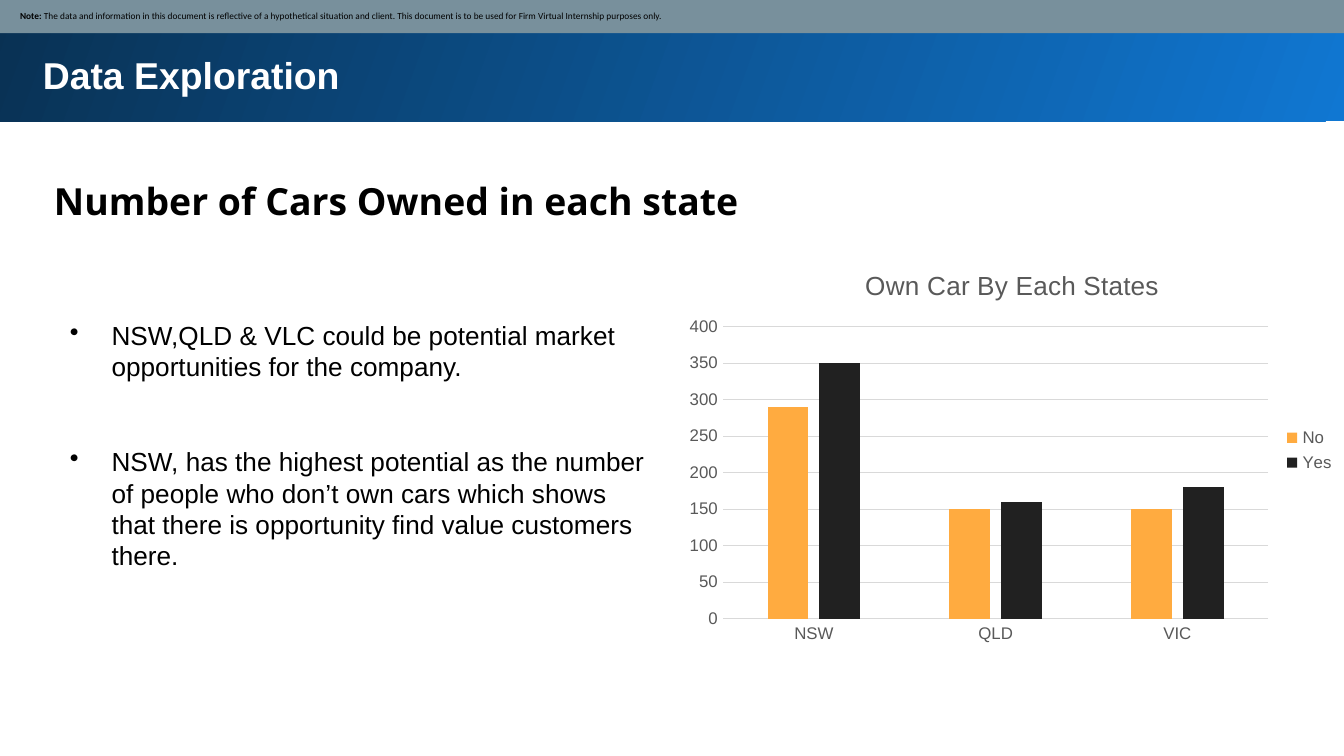
import pptx
import pptx.chart.data
import pptx.dml.color
import pptx.enum.chart
import pptx.enum.shapes
import pptx.enum.text
import pptx.oxml.ns
import pptx.util
from lxml import etree

Cm = pptx.util.Cm
Pt = pptx.util.Pt
RGBColor = pptx.dml.color.RGBColor

BLACK = RGBColor(0x00, 0x00, 0x00)
WHITE = RGBColor(0xFF, 0xFF, 0xFF)
BRIGHT_BLUE = RGBColor(0x10, 0x77, 0xD2)
DARK_BLUE = RGBColor(0x09, 0x31, 0x53)
NOTE_GREY = RGBColor(0x78, 0x90, 0x9C)
CHART_TEXT = RGBColor(0x59, 0x59, 0x59)
GRID_GREY = RGBColor(0xD9, 0xD9, 0xD9)

TITLE = "Data Exploration"
HEADING = "Number of Cars Owned in each state"
NOTE_LABEL = "Note: "
NOTE = (
    "The data and information in this document is reflective of a hypothetical "
    "situation and client. This document is to be used for Firm Virtual "
    "Internship purposes only."
)
BULLETS = [
    "NSW,QLD & VLC could be potential market opportunities for the company.",
    "NSW, has the highest potential as the number of people who don’t own cars "
    "which shows that there is opportunity find value customers there.",
]
CHART_TITLE = "Own Car By Each States"
STATES = ["NSW", "QLD", "VIC"]
CAR_OWNERSHIP = [
    ("No", [290, 150, 150], RGBColor(0xFF, 0xAB, 0x40)),
    ("Yes", [350, 160, 180], RGBColor(0x21, 0x21, 0x21)),
]

# Left, top, width, height in centimetres
BANNER_BOX = (-0.05, -0.05, 25.53, 2.34)
NOTE_BOX = (-0.03, -0.03, 25.48, 0.66)
TITLE_BOX = (0.56, 0.74, 23.8, 2.24)
HEADING_BOX = (0.56, 3, 23.8, 1.42)
BULLET_BOX = (1.19, 4.72, 11.23, 6.83)
CHART_BOX = (12.78, 4.7, 12.7, 7.62)
BULLET_INDENT = Cm(0.79)


def place(box):
    return [Cm(length) for length in box]


def style_font(font, name, size, color, bold=False):
    font.name = name
    font.size = Pt(size)
    font.color.rgb = color
    font.bold = bold


def add_run(paragraph, text, *style):
    run = paragraph.add_run()
    run.text = text
    style_font(run.font, *style)


def set_insets(frame, left, top, right, bottom):
    frame.word_wrap = True
    frame.margin_left, frame.margin_top = Cm(left), Cm(top)
    frame.margin_right, frame.margin_bottom = Cm(right), Cm(bottom)


def add_text_frame(slide, box, *insets):
    frame = slide.shapes.add_textbox(*place(box)).text_frame
    set_insets(frame, *insets)
    return frame


def add_bar(slide, box):
    """Add a rectangle without outline or shadow."""
    shape = slide.shapes.add_shape(
        pptx.enum.shapes.MSO_SHAPE.RECTANGLE, *place(box))
    shape.shadow.inherit = False
    shape.line.fill.background()
    return shape


def add_banner(slide):
    fill = add_bar(slide, BANNER_BOX).fill
    fill.gradient()
    fill.gradient_angle = 160
    for stop, color in zip(fill.gradient_stops, (BRIGHT_BLUE, DARK_BLUE)):
        stop.color.rgb = color


def add_note(slide):
    bar = add_bar(slide, NOTE_BOX)
    bar.fill.solid()
    bar.fill.fore_color.rgb = NOTE_GREY
    frame = bar.text_frame
    set_insets(frame, 0.41, 0.13, 0.13, 0.13)
    frame.vertical_anchor = pptx.enum.text.MSO_ANCHOR.MIDDLE
    paragraph = frame.paragraphs[0]
    paragraph.alignment = pptx.enum.text.PP_ALIGN.LEFT
    add_run(paragraph, NOTE_LABEL, "Calibri", 5, BLACK, True)
    add_run(paragraph, NOTE, "Calibri", 5, BLACK)


def add_bullets(slide):
    frame = add_text_frame(slide, BULLET_BOX, 0.13, 1.32, 0.13, 0.13)
    for index, text in enumerate(BULLETS):
        paragraph = frame.add_paragraph() if index else frame.paragraphs[0]
        if index:
            paragraph.space_before = Pt(34)
        properties = paragraph._p.get_or_add_pPr()
        properties.set("marL", str(BULLET_INDENT))
        properties.set("indent", str(-BULLET_INDENT))
        bullet = etree.SubElement(properties, pptx.oxml.ns.qn("a:buChar"))
        bullet.set("char", "•")
        add_run(paragraph, text, "Arial", 14, BLACK)


def style_line(line):
    line.color.rgb = GRID_GREY
    line.width = Pt(0.75)


def add_car_chart(slide):
    data = pptx.chart.data.CategoryChartData()
    data.categories = STATES
    for name, values, _ in CAR_OWNERSHIP:
        data.add_series(name, values)
    chart = slide.shapes.add_chart(
        pptx.enum.chart.XL_CHART_TYPE.COLUMN_CLUSTERED,
        *place(CHART_BOX), data).chart
    style_font(chart.font, "Arial", 10, BLACK)

    chart.has_title = True
    add_run(chart.chart_title.text_frame.paragraphs[0],
            CHART_TITLE, "Arial", 14, CHART_TEXT)
    chart.has_legend = True
    chart.legend.position = pptx.enum.chart.XL_LEGEND_POSITION.RIGHT
    chart.legend.include_in_layout = False
    style_font(chart.legend.font, "Arial", 9, CHART_TEXT)

    plot = chart.plots[0]
    plot.gap_width = 219
    plot.overlap = -27
    plot.vary_by_categories = False
    for series, (_, _, color) in zip(plot.series, CAR_OWNERSHIP):
        series.format.fill.solid()
        series.format.fill.fore_color.rgb = color

    for axis in (chart.category_axis, chart.value_axis):
        axis.major_tick_mark = pptx.enum.chart.XL_TICK_MARK.NONE
        axis.minor_tick_mark = pptx.enum.chart.XL_TICK_MARK.NONE
        style_font(axis.tick_labels.font, "Arial", 9, CHART_TEXT)
    style_line(chart.category_axis.format.line)
    value_axis = chart.value_axis
    value_axis.minimum_scale, value_axis.maximum_scale = 0, 400
    value_axis.major_unit = 50
    value_axis.format.line.fill.background()
    style_line(value_axis.major_gridlines.format.line)


def main():
    presentation = pptx.Presentation()
    presentation.slide_width = Cm(25.4)
    presentation.slide_height = Cm(14.29)
    slide = presentation.slides.add_slide(presentation.slide_layouts[6])

    add_banner(slide)
    title = add_text_frame(slide, TITLE_BOX, 0.25, 0.25, 0.25, 0.25)
    add_run(title.paragraphs[0], TITLE, "Arial", 20, WHITE, True)
    heading = add_text_frame(slide, HEADING_BOX, 0.46, 0.25, 0.25, 0.25)
    heading.paragraphs[0].line_spacing = 1.15
    add_run(heading.paragraphs[0], HEADING, "Open Sans", 20, BLACK, True)
    add_note(slide)
    add_bullets(slide)
    add_car_chart(slide)

    presentation.save("out.pptx")


if __name__ == "__main__":
    main()
